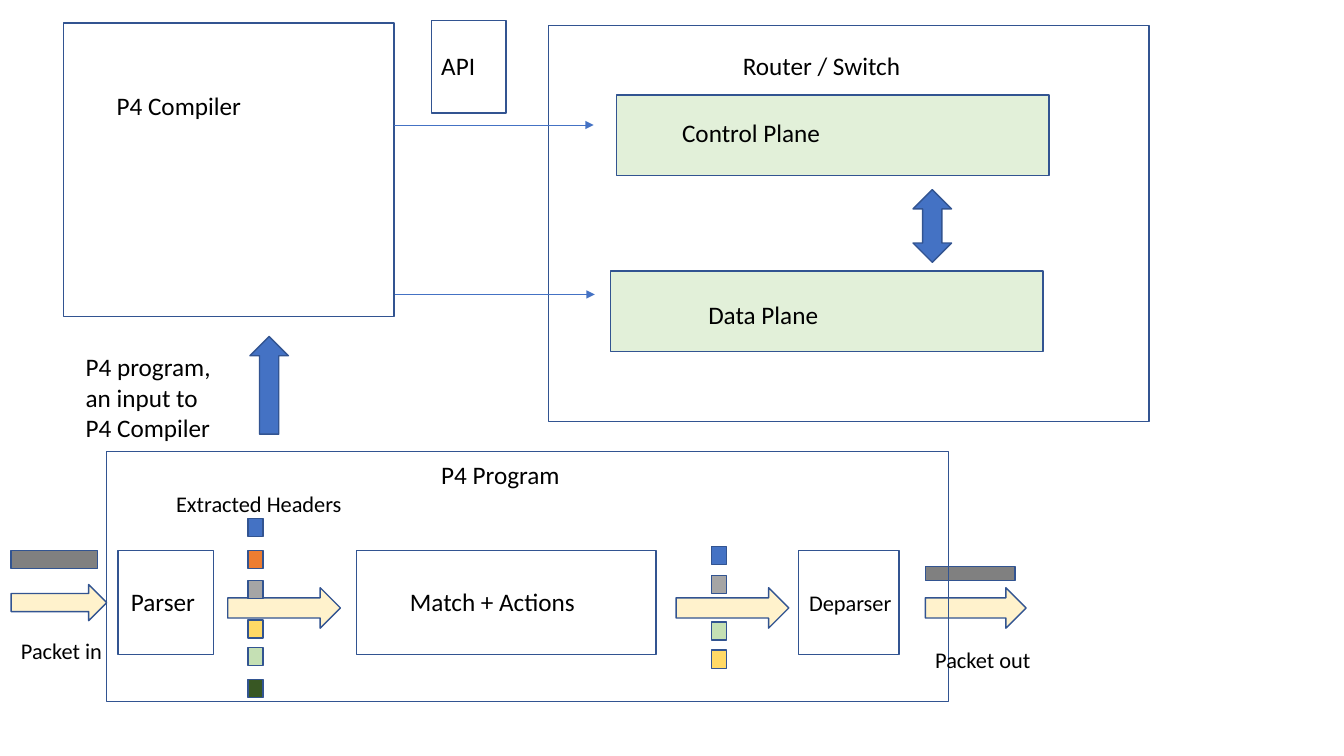
import pptx
import pptx.util
import pptx.dml.color
import pptx.enum.shapes
import pptx.enum.text
import lxml.etree
from pptx.oxml.ns import qn

Cm = pptx.util.Cm
Pt = pptx.util.Pt
KIND = pptx.enum.shapes.MSO_SHAPE
EDGE, BLUE, CREAM, GREEN, GREY = "325491", "4472C4", "FFF2CC", "E2F0D9", "808080"
SILVER, GOLD, LIME = "A5A5A5", "FFD966", "C5E0B4"
FRAME = {"word_wrap": True, "auto_size": pptx.enum.text.MSO_AUTO_SIZE.SHAPE_TO_FIT_TEXT}


def assign(item, values):
    for name, value in values.items():
        setattr(item, name, value)


def paint(form, color):
    form.solid()
    form.fore_color.rgb = pptx.dml.color.RGBColor.from_string(color)


def add_form(slide, kind, place, color=None):
    form = slide.shapes.add_shape(kind, *map(Cm, place))
    form.shadow.inherit = False
    form.line.width = Pt(1)
    paint(form.line.fill, EDGE)
    if color:
        paint(form.fill, color)
    else:
        form.fill.background()


def add_label(slide, text, left, top, width, size=18):
    box = slide.shapes.add_textbox(Cm(left), Cm(top), Cm(width), Cm(1))
    assign(box.text_frame, FRAME)
    run = box.text_frame.paragraphs[0].add_run()
    run.text = text
    assign(run.font, {"name": "Calibri", "size": Pt(size)})
    paint(run.font.fill, "000000")


def add_link(slide, left, right, top):
    link = slide.shapes.add_connector(
        pptx.enum.shapes.MSO_CONNECTOR.STRAIGHT, Cm(left), Cm(top), Cm(right), Cm(top))
    link.line.width = Pt(0.5)
    paint(link.line.fill, BLUE)
    lxml.etree.SubElement(link.line._get_or_add_ln(), qn("a:tailEnd"), type="triangle")
    lxml.etree.SubElement(link._element.spPr, qn("a:effectLst"))


def add_stack(slide, left, cells):
    for top, color in cells:
        add_form(slide, KIND.RECTANGLE, (left, top, 0.38, 0.46), color)


def draw_flow(slide):
    for left, width in ((2.97, 2.41), (8.99, 7.54), (20.12, 2.54)):
        add_form(slide, KIND.RECTANGLE, (left, 13.87, width, 2.62))
    for place in ((0.28, 14.73, 2.41, 0.91), (5.74, 14.81, 2.84, 1.02),
                  (17.04, 14.81, 2.84, 1.02), (23.32, 14.81, 2.54, 1.02)):
        add_form(slide, KIND.RIGHT_ARROW, place, CREAM)
    add_stack(slide, 6.25, ((13.06, BLUE), (13.87, "ED7D31"), (14.63, SILVER),
                            (15.62, GOLD), (16.31, LIME), (17.12, "385723")))
    add_stack(slide, 17.93, ((13.77, BLUE), (14.5, SILVER), (15.67, LIME), (16.38, GOLD)))
    for place in ((0.28, 13.87, 2.18, 0.46), (23.32, 14.27, 2.26, 0.36)):
        add_form(slide, KIND.RECTANGLE, place, GREY)
    add_form(slide, KIND.RECTANGLE, (2.69, 11.38, 21.21, 6.3))
    add_label(slide, "P4 Program", 10.87, 11.46, 8.26)
    add_label(slide, "Extracted Headers", 4.19, 12.22, 5.64, 16)
    add_label(slide, "Packet in", 0.28, 15.93, 2.69, 16)
    add_label(slide, "Parser", 3.05, 14.66, 2.39)
    add_label(slide, "Match + Actions", 10.08, 14.66, 5.38)
    add_label(slide, "Deparser", 20.14, 14.71, 3.2, 16)
    add_label(slide, "Packet out", 23.32, 16.15, 3.12, 16)


def draw_planes(slide):
    add_form(slide, KIND.RECTANGLE, (1.6, 0.58, 8.33, 7.39))
    add_form(slide, KIND.UP_ARROW, (6.3, 8.48, 0.97, 2.46), BLUE)
    add_form(slide, KIND.RECTANGLE, (13.82, 0.64, 15.14, 9.98))
    for left, top in ((15.54, 2.39), (15.39, 6.83)):
        add_form(slide, KIND.RECTANGLE, (left, top, 10.9, 2.03), GREEN)
    add_form(slide, KIND.UP_DOWN_ARROW, (23.01, 4.78, 0.97, 1.83), BLUE)
    add_link(slide, 9.93, 14.96, 3.15)
    add_link(slide, 9.96, 14.99, 7.42)
    add_form(slide, KIND.RECTANGLE, (10.87, 0.51, 1.88, 2.34))
    add_label(slide, "P4 Compiler", 2.69, 2.16, 4.34)
    add_label(slide, "P4 program, an input to P4 Compiler", 1.91, 8.74, 3.84)
    add_label(slide, "API", 10.87, 1.14, 1.88)
    add_label(slide, "Router / Switch", 18.47, 1.14, 6.15)
    add_label(slide, "Control Plane", 16.94, 2.84, 7.8)
    add_label(slide, "Data Plane", 17.6, 7.42, 6.3)


def main():
    deck = pptx.Presentation()
    assign(deck, {"slide_width": Cm(33.87), "slide_height": Cm(19.05)})
    slide = deck.slides.add_slide(deck.slide_layouts[6])
    draw_flow(slide)
    draw_planes(slide)
    deck.save("out.pptx")


if __name__ == "__main__":
    main()
